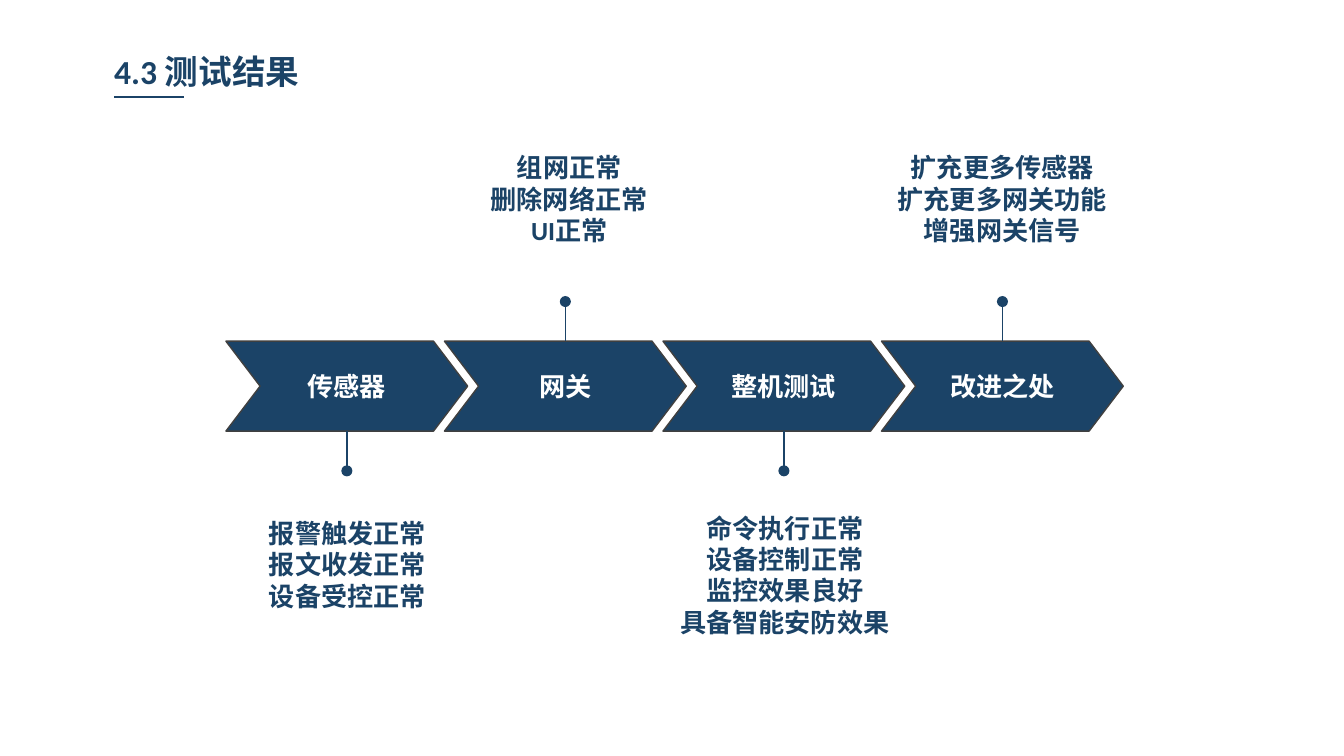
from dataclasses import dataclass
from typing import Any

from lxml import etree
from pptx import Presentation
from pptx import util as u
from pptx.dml.color import RGBColor
from pptx.enum import shapes, text
from pptx.oxml import ns


def colour(value):
    return RGBColor.from_string(value)


@dataclass
class Painter:
    slide: Any
    font: str = "Calibri"
    navy: str = "1B4367"
    outline: str = "404040"
    white: str = "FFFFFF"
    stroke: float = 0.75

    def fill_text(self, frame, lines, size, ink, align):
        frame.margin_left = frame.margin_right = u.Cm(0.19)
        frame.margin_top = frame.margin_bottom = u.Cm(0.1)
        for index, line in enumerate(lines):
            para = frame.paragraphs[0] if index == 0 else frame.add_paragraph()
            para.alignment = align
            span = para.add_run()
            span.text = line
            span.font.name = self.font
            span.font.size = u.Pt(size)
            span.font.bold = True
            span.font.color.rgb = colour(ink)

    def label(self, left, top, width, height, lines, size=14,
              align=text.PP_ALIGN.CENTER, wrap=False):
        box = self.slide.shapes.add_textbox(
            u.Cm(left), u.Cm(top), u.Cm(width), u.Cm(height))
        frame = box.text_frame
        frame.word_wrap = wrap
        frame.auto_size = text.MSO_AUTO_SIZE.SHAPE_TO_FIT_TEXT
        self.fill_text(frame, lines, size, self.navy, align)

    def chevron(self, left, top, width, height, name):
        arrow = self.slide.shapes.add_shape(
            shapes.MSO_SHAPE.CHEVRON,
            u.Cm(left), u.Cm(top), u.Cm(width), u.Cm(height))
        arrow.adjustments[0] = 0.38
        arrow.shadow.inherit = False
        arrow.fill.solid()
        arrow.fill.fore_color.rgb = colour(self.navy)
        arrow.line.color.rgb = colour(self.outline)
        arrow.line.width = u.Pt(self.stroke)
        arrow.text_frame.vertical_anchor = text.MSO_ANCHOR.MIDDLE
        self.fill_text(arrow.text_frame, [name], 14, self.white,
                       text.PP_ALIGN.CENTER)

    def line(self, start, end, dot=False):
        rule = self.slide.shapes.add_connector(
            shapes.MSO_CONNECTOR.STRAIGHT, *map(u.Cm, start + end))
        rule.line.color.rgb = colour(self.navy)
        rule.line.width = u.Pt(self.stroke)
        properties = rule._element.spPr
        if dot:
            stroke = properties.find(ns.qn("a:ln"))
            etree.SubElement(stroke, ns.qn("a:tailEnd"), type="oval")
        etree.SubElement(properties, ns.qn("a:effectLst"))


def main():
    deck = Presentation()
    deck.slide_width = u.Cm(25.4)
    deck.slide_height = u.Cm(14.29)
    page = Painter(deck.slides.add_slide(deck.slide_layouts[6]))

    page.label(1.97, 0.86, 6.27, 0.97, ["4.3 测试结果"], size=18,
               align=text.PP_ALIGN.LEFT, wrap=True)
    page.line((2.16, 1.83), (3.48, 1.83))

    left, top, width, height, pitch, stem = 4.27, 6.45, 4.57, 1.7, 4.13, 0.75
    stages = [
        ("传感器", (4.88, 9.68, 3.38, 1.98),
         ["报警触发正常", "报文收发正常", "设备受控正常"]),
        ("网关", (9.07, 2.77, 3.38, 1.98),
         ["组网正常", "删除网络正常", "UI正常"]),
        ("整机测试", (12.65, 9.58, 4.37, 2.59),
         ["命令执行正常", "设备控制正常", "监控效果良好", "具备智能安防效果"]),
        ("改进之处", (16.76, 2.77, 4.37, 1.98),
         ["扩充更多传感器", "扩充更多网关功能", "增强网关信号"]),
    ]
    for index, (name, area, findings) in enumerate(stages):
        x = left + index * pitch
        centre = x + width / 2
        below = index % 2 == 0
        edge = top + height if below else top
        tip = edge + stem if below else edge - stem
        page.chevron(x, top, width, height, name)
        page.line((centre, edge), (centre, tip), dot=True)
        page.label(*area, findings)

    deck.save("out.pptx")


if __name__ == "__main__":
    main()
